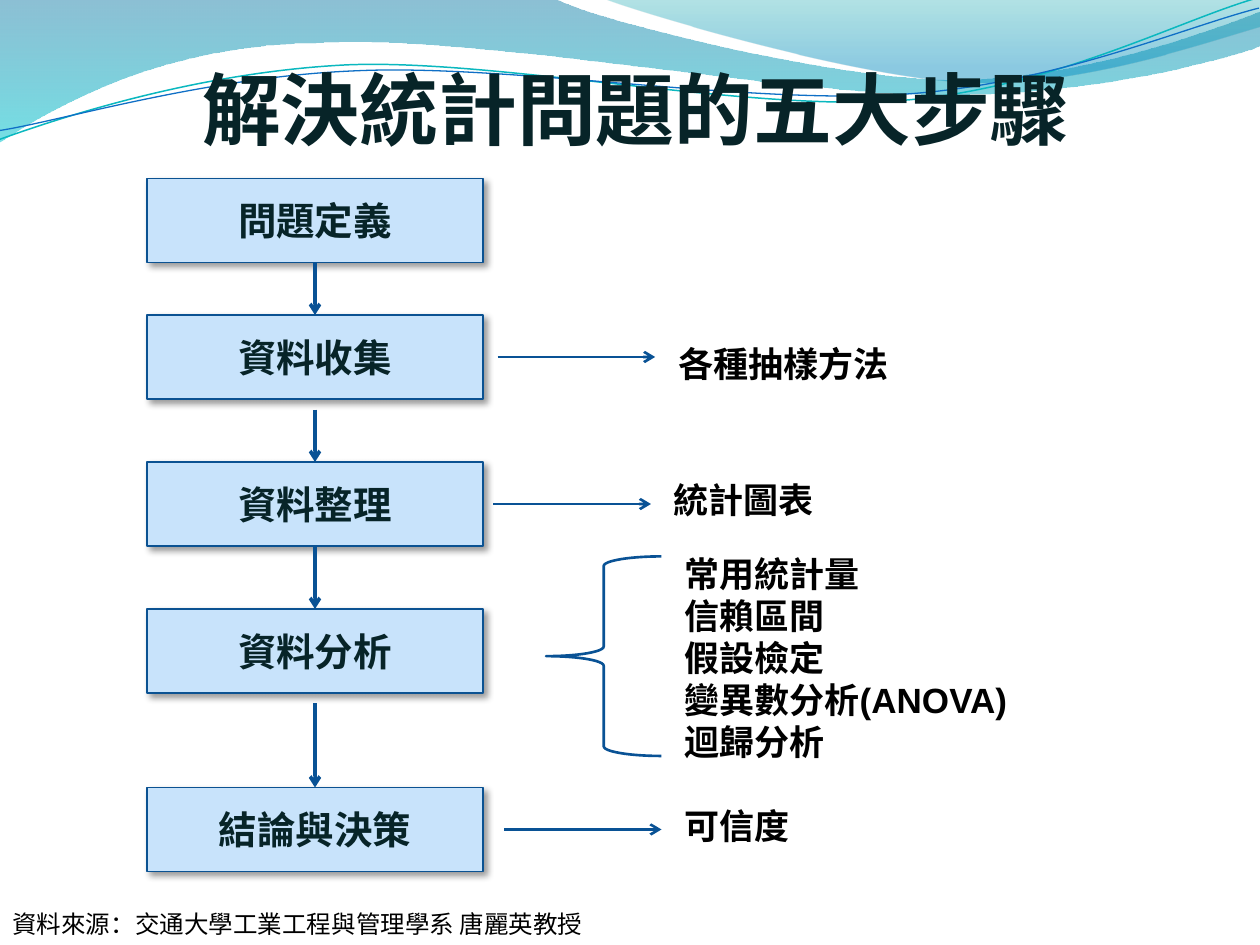
"""Build a slide showing the five steps of solving a statistical problem."""
import pptx
import pptx.dml.color
import pptx.enum.shapes
import pptx.enum.text
import pptx.oxml
import pptx.oxml.ns
import pptx.util
from lxml import etree

RGB = pptx.dml.color.RGBColor
BLACK = RGB(0x00, 0x00, 0x00)
INK = RGB(0x07, 0x24, 0x28)
PALE = RGB(0xC8, 0xE3, 0xFB)
EDGE = RGB(0x0B, 0x52, 0x92)
BLUE = RGB(0x09, 0x52, 0x95)
DEEP = RGB(0x00, 0x74, 0xA1)
AQUA = RGB(0x00, 0xC6, 0xCF)
TEAL = RGB(0x00, 0xA1, 0xA9)
SEA = RGB(0x00, 0x8B, 0xBF)
CYAN = RGB(0x0A, 0xB8, 0xBF)
ROYAL = RGB(0x0F, 0x6F, 0xC6)

PX = 7620
GRID = PX * 1.2
Pt = pptx.util.Pt
qn = pptx.oxml.ns.qn
ANCHOR = pptx.enum.text.MSO_ANCHOR
FIT = pptx.enum.text.MSO_AUTO_SIZE
CENTER = pptx.enum.text.PP_ALIGN.CENTER
SHAPE = pptx.enum.shapes.MSO_SHAPE
STRAIGHT = pptx.enum.shapes.MSO_CONNECTOR.STRAIGHT
SHADOW = (
    f'<a:outerShdw {pptx.oxml.ns.nsdecls("a")} blurRad="50800" dist="38100" '
    'dir="2700000" algn="tl" rotWithShape="0"><a:srgbClr val="000000">'
    '<a:alpha val="40000"/></a:srgbClr></a:outerShdw>'
)

deck = pptx.Presentation()
deck.slide_width, deck.slide_height = 1200 * PX, 900 * PX
slide = deck.slides.add_slide(deck.slide_layouts[5])
shapes = slide.shapes


def style(frame, size, font, color, bold=True, align=None):
    for para in frame.paragraphs:
        para.alignment = align
        for run in para.runs:
            run.font.size, run.font.name = Pt(size), font
            run.font.bold, run.font.color.rgb = bold, color


def wave(start, parts, close):
    pen = shapes.build_freeform(*start, scale=GRID)
    ends = [part[-2:] for part in parts]
    pen.add_line_segments(ends, close=close)
    shape = pen.convert_to_shape()
    shape.shadow.inherit = False
    left = min(x for x, y in [start] + ends)
    top = min(y for x, y in [start] + ends)
    steps = list(shape._element.iter(qn("a:lnTo")))
    for step, part in zip(steps, parts):
        if len(part) == 6:
            bend = etree.Element(qn("a:cubicBezTo"))
            for x, y in zip(part[::2], part[1::2]):
                dot = etree.SubElement(bend, qn("a:pt"))
                dot.set("x", str(x - left))
                dot.set("y", str(y - top))
            step.getparent().replace(step, bend)
    return shape


bands = [
    ((0, -1), [(440, -1), (476, 17, 664, 63, 758, 63),
               (853, 63, 958, 26, 1000, 9), (1001, 36),
               (983, 44, 870, 76, 746, 75), (622, 75, 382, 28, 257, 34),
               (129, 35, 46, 83, -1, 113)],
     [(0, DEEP, 45), (1, AQUA, 55)]),
    ((479, -1), [(509, 11, 682, 62, 769, 65), (856, 69, 961, 32, 1000, 21),
                 (1000, 0)],
     [(0, TEAL, 30), (0.8, SEA, 45)]),
]
for start, parts, stops in bands:
    band = wave(start, parts, True)
    band.line.fill.background()
    band.fill.gradient()
    band.fill.gradient_angle = 270
    for stop, (place, color, alpha) in zip(band.fill.gradient_stops, stops):
        stop.position, stop.color.rgb = place, color
    tones = band.fill._xPr.iter(qn("a:srgbClr"))
    for tone, (place, color, alpha) in zip(tones, stops):
        etree.SubElement(tone, qn("a:alpha")).set("val", str(alpha * 1000))

curves = [
    ((-2, 87), [(47, 72, 158, 41, 277, 41), (396, 42, 591, 93, 712, 90),
                (832, 87, 939, 36, 1000, 22)], CYAN, 0.85),
    ((-2, 80), [(46, 75, 164, 45, 283, 46), (403, 46, 596, 88, 716, 85),
                (835, 83, 942, 42, 1001, 30)], ROYAL, 0.75),
]
for start, parts, color, width in curves:
    curve = wave(start, parts, False)
    curve.rotation = 357.3
    curve.fill.background()
    curve.line.color.rgb, curve.line.width = color, Pt(width)

title = shapes.title
shapes._spTree.append(title._element)
title.left, title.top, title.width, title.height = (
    n * PX for n in (60, 60, 1090, 88))
frame = title.text_frame
frame.text = "解決統計問題的五大步驟"
frame.auto_size = FIT.NONE
frame.vertical_anchor = ANCHOR.BOTTOM
frame.margin_left = frame.margin_right = frame.margin_bottom = 0
frame.margin_top = 6 * PX
style(frame, 45, "Calibri", INK, align=CENTER)

steps = [("問題定義", 170), ("資料收集", 300), ("資料整理", 440),
         ("資料分析", 580), ("結論與決策", 750)]
boxes = []
for text, top in steps:
    box = shapes.add_shape(
        SHAPE.RECTANGLE, 140 * PX, top * PX, 320 * PX, 80 * PX)
    box.shadow.inherit = False
    glow = box._element.spPr.find(qn("a:effectLst"))
    glow.append(pptx.oxml.parse_xml(SHADOW))
    box.fill.solid()
    box.fill.fore_color.rgb = PALE
    box.line.color.rgb, box.line.width = EDGE, Pt(1)
    box.text_frame.text = text
    box.text_frame.vertical_anchor = ANCHOR.MIDDLE
    style(box.text_frame, 22, "Vollkorn", INK, align=CENTER)
    boxes.append(box)

arrows = []
for i, start in enumerate((250, 390, 520, 670)):
    arrow = shapes.add_connector(
        STRAIGHT, 300 * PX, start * PX, 300 * PX, boxes[i + 1].top)
    if i in (0, 2):
        arrow.begin_connect(boxes[i], 2)
    arrow.end_connect(boxes[i + 1], 0)
    arrows.append((arrow, 2))
for left, y in ((474, 340), (470, 480), (480, 790)):
    arrow = shapes.add_connector(
        STRAIGHT, left * PX, y * PX, (left + 150) * PX, y * PX)
    arrows.append((arrow, 1.5))
for arrow, width in arrows:
    arrow.line.color.rgb, arrow.line.width = BLUE, Pt(width)
    tail = etree.SubElement(arrow.line._get_or_add_ln(), qn("a:tailEnd"))
    tail.set("type", "arrow")
    etree.SubElement(arrow._element.spPr, qn("a:effectLst"))

brace = shapes.add_shape(
    SHAPE.LEFT_BRACE, 520 * PX, 530 * PX, 110 * PX, 190 * PX)
brace.shadow.inherit = False
brace.fill.background()
brace.line.color.rgb, brace.line.width = BLUE, Pt(1.5)

notes = [
    ("各種抽樣方法", 634, 320, 226, 53, 20, True),
    ("統計圖表", 630, 450, 158, 53, 20, True),
    ("可信度", 640, 760, 125, 53, 20, True),
    ("常用統計量\n信賴區間\n假設檢定\n變異數分析(ANOVA)\n迴歸分析",
     640, 520, 341, 214, 20, True),
    ("資料來源：交通大學工業工程與管理學系 唐麗英教授",
     0, 860, 572, 40, 14, False),
]
for text, left, top, width, height, size, bold in notes:
    note = shapes.add_textbox(left * PX, top * PX, width * PX, height * PX)
    note.text_frame.text = text
    note.text_frame.word_wrap = False
    note.text_frame.auto_size = FIT.SHAPE_TO_FIT_TEXT
    style(note.text_frame, size, "Arial", BLACK, bold)

deck.save("out.pptx")
